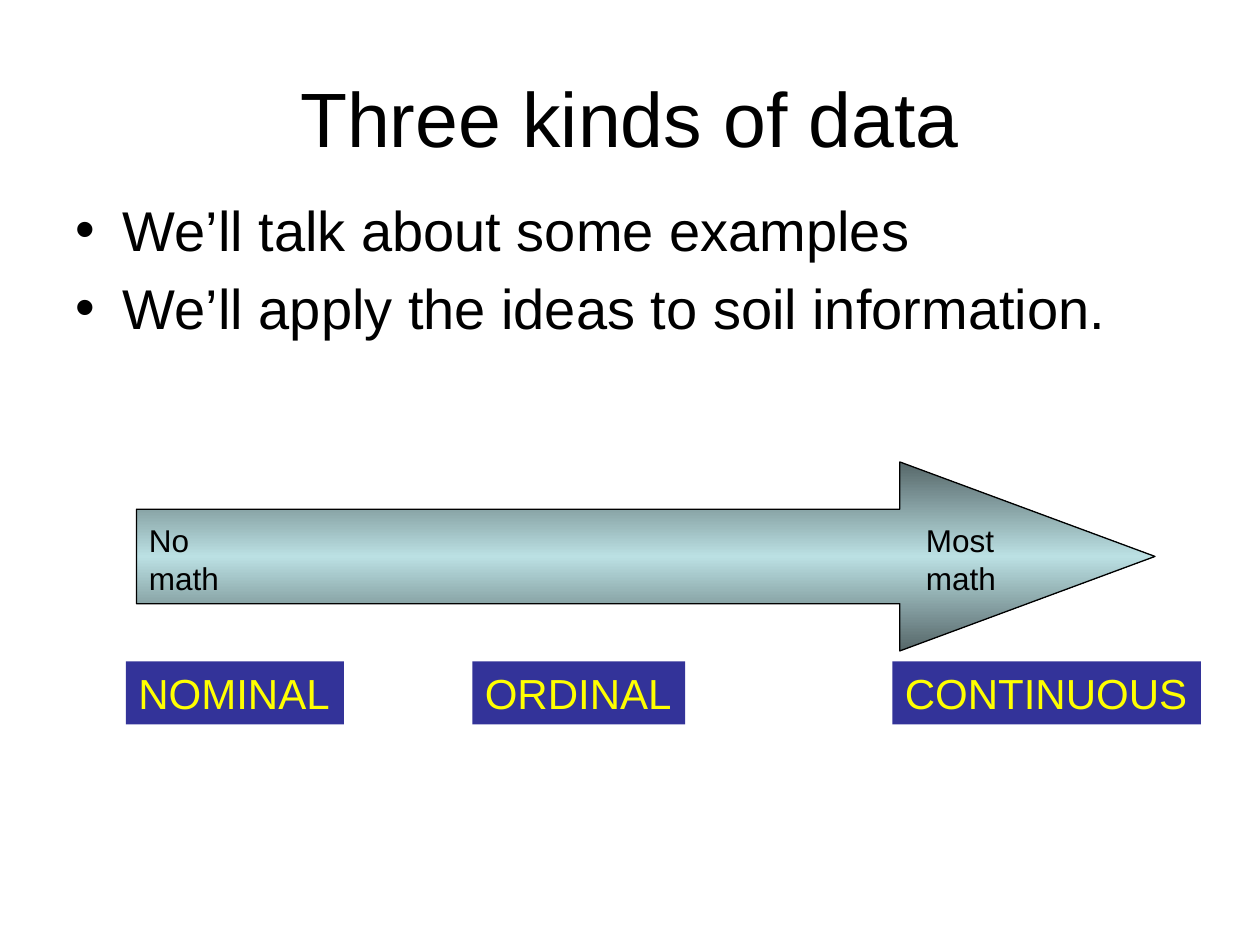
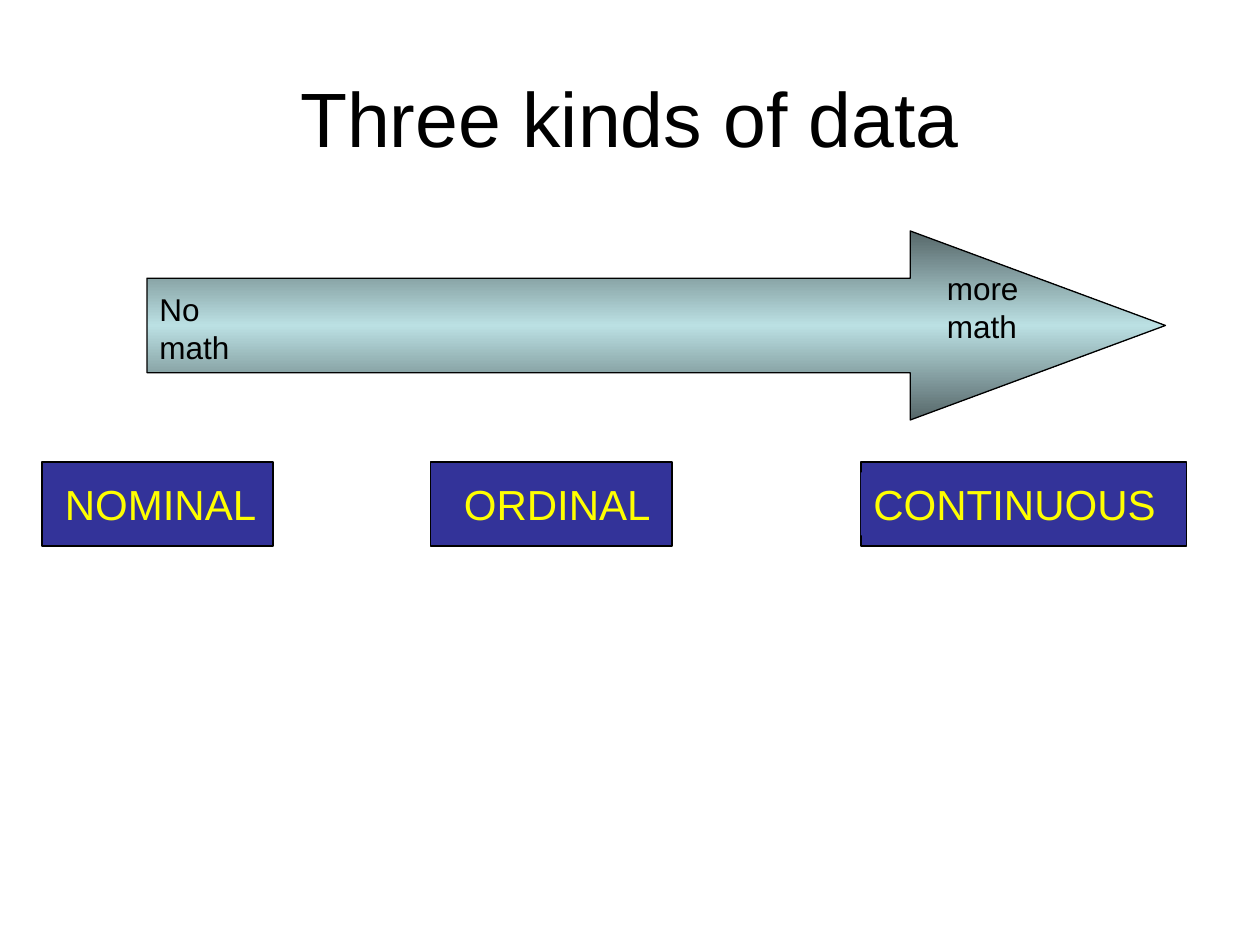
from copy import deepcopy

from pptx import Presentation
from pptx.dml.color import RGBColor
from pptx.enum.shapes import MSO_SHAPE as Shape
from pptx.enum.text import MSO_ANCHOR as Anchor, MSO_AUTO_SIZE as AutoSize, PP_ALIGN as Align
from pptx.oxml.ns import qn
from pptx.util import Pt

PX = 9525  # EMU per px, 96 px to the inch
FONT = "Arial"
COLORS = {
    "ink": "000000",
    "label_fill": "333399",
    "label_text": "FFFF00",
    "arrow_edge": "566769",
    "arrow_middle": "BBE0E3",
}
TITLE = "Three kinds of data"
TITLE_BOX = (48, 29, 864, 120)
BODY_BOX = (48, 144, 864, 499)
ARROW_SIZE = (776, 144)
MATH_SIZE = (75, 67)
LABEL_HEIGHT = 48
LABEL_WIDTHS = {"NOMINAL": 166, "ORDINAL": 162, "CONTINUOUS": 235}
TITLE_AND_BODY, TITLE_ONLY = 1, 5


def color(name):
    return RGBColor.from_string(COLORS[name])


def emu(*lengths):
    return [length * PX for length in lengths]


def place(shape, box):
    shape.left, shape.top, shape.width, shape.height = emu(*box)


def write(shape, lines, size, color_name="ink", align=Align.LEFT):
    frame = shape.text_frame
    frame.text = "\n".join(lines)
    for paragraph in frame.paragraphs:
        paragraph.alignment = align
        for run in paragraph.runs:
            run.font.name = FONT
            run.font.size = Pt(size)
            run.font.color.rgb = color(color_name)


def add_text(slide, box, lines, size, color_name="ink"):
    text_box = slide.shapes.add_textbox(*emu(*box))
    write(text_box, lines, size, color_name)
    text_box.text_frame.word_wrap = False
    text_box.text_frame.auto_size = AutoSize.SHAPE_TO_FIT_TEXT
    return text_box


def outline(shape):
    shape.shadow.inherit = False
    shape.line.color.rgb = color("ink")
    shape.line.width = Pt(0.75)


def add_titled_slide(presentation, layout):
    slide = presentation.slides.add_slide(presentation.slide_layouts[layout])
    title = slide.shapes.title
    place(title, TITLE_BOX)
    write(title, [TITLE], 44, align=Align.CENTER)
    title.text_frame.vertical_anchor = Anchor.MIDDLE
    title.text_frame.auto_size = AutoSize.NONE
    return slide


def add_body(slide, lines):
    body = slide.placeholders[1]
    place(body, BODY_BOX)
    write(body, lines, 32)
    body.text_frame.auto_size = AutoSize.NONE


def add_math_arrow(slide, left, top, notes):
    """Arrow with notes, each given as (x, y, lines) relative to the arrow."""
    arrow = slide.shapes.add_shape(Shape.RIGHT_ARROW, *emu(left, top, *ARROW_SIZE))
    arrow.adjustments[0], arrow.adjustments[1] = 0.5, 1.35
    outline(arrow)

    # Dark edges with a light band along the middle
    arrow.fill.gradient()
    arrow.fill.gradient_angle = 90
    stop_list = arrow._element.spPr.find(qn("a:gradFill")).find(qn("a:gsLst"))
    stop_list.append(deepcopy(stop_list[0]))
    shades = ("arrow_edge", "arrow_middle", "arrow_edge")
    for index, (stop, shade) in enumerate(zip(arrow.fill.gradient_stops, shades)):
        stop.position = index / 2
        stop.color.rgb = color(shade)

    for x, y, lines in notes:
        add_text(slide, (left + x, top + y, *MATH_SIZE), lines, 18)


def add_labels(slide, top, lefts):
    for left, (name, width) in zip(lefts, LABEL_WIDTHS.items()):
        label = add_text(slide, (left, top, width, LABEL_HEIGHT), [name], 24, "label_text")
        label.fill.solid()
        label.fill.fore_color.rgb = color("label_fill")


def add_frames(slide, top, height, spans):
    for left, width in spans:
        frame = slide.shapes.add_shape(Shape.RECTANGLE, *emu(left, top, width, height))
        frame.fill.solid()
        frame.fill.fore_color.rgb = color("label_fill")
        outline(frame)


def build_overview(presentation):
    slide = add_titled_slide(presentation, TITLE_AND_BODY)
    add_body(slide, ["We’ll talk about some examples",
                     "We’ll apply the ideas to soil information."])
    add_math_arrow(slide, 104, 352, [(592, 40, ["Most", "math"]), (0, 40, ["No", "math"])])
    add_labels(slide, 504, (96, 360, 680))


def build_framed_scale(presentation):
    slide = add_titled_slide(presentation, TITLE_ONLY)
    add_frames(slide, 352, 64, [(32, 176), (328, 184), (656, 248)])
    add_math_arrow(slide, 112, 176, [(600, 24, ["more", "math"]), (0, 40, ["No", "math"])])
    add_labels(slide, 360, (40, 344, 656))


def main():
    presentation = Presentation()
    presentation.slide_width, presentation.slide_height = emu(960, 720)
    build_overview(presentation)
    build_framed_scale(presentation)
    presentation.save("out.pptx")


if __name__ == "__main__":
    main()
